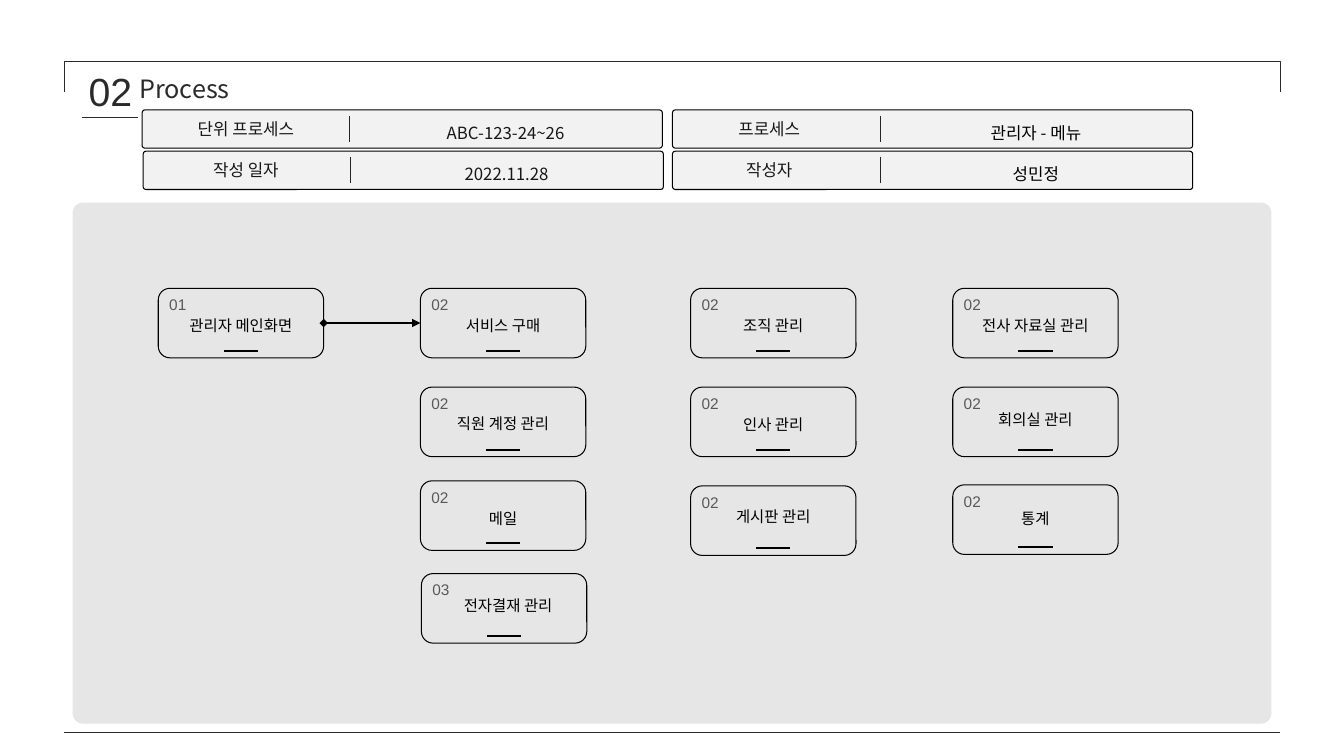
from dataclasses import dataclass

from lxml import etree
from pptx import Presentation
from pptx.dml.color import RGBColor
from pptx.enum.shapes import MSO_CONNECTOR, MSO_SHAPE
from pptx.enum.text import MSO_ANCHOR, MSO_AUTO_SIZE, PP_ALIGN
from pptx.oxml.ns import qn
from pptx.util import Inches, Pt

STRAIGHT = MSO_CONNECTOR.STRAIGHT
ROUNDED = MSO_SHAPE.ROUNDED_RECTANGLE
BRACKET = MSO_SHAPE.RIGHT_BRACKET
LEFT, CENTER = PP_ALIGN.LEFT, PP_ALIGN.CENTER
TOP = MSO_ANCHOR.TOP
NO_AUTOFIT = MSO_AUTO_SIZE.NONE

COLORS = {
    "panel": "E7E6E6",
    "field": "F2F2F2",
    "frame": "2A2A2A",
    "divider": "242424",
    "field_text": "181717",
    "number": "595959",
    "black": "000000",
}
LATIN = "Arial"
KOREAN = "Noto Sans CJK KR"
DEFAULT_INSETS = (0.1, 0.05, 0.1, 0.05)


@dataclass
class TextStyle:
    size: float
    color: str
    font: str = LATIN
    align: PP_ALIGN = LEFT
    spacing: float = 1.0
    insets: tuple[float, float, float, float] = DEFAULT_INSETS


@dataclass
class Field:
    label: str
    value: str
    left: float
    top: float
    label_center: float
    value_color: str


@dataclass
class Node:
    number: str
    label: str
    left: float
    top: float
    label_drop: float = 0.23
    label_width: float = 1.64


NODE_WIDTH, NODE_HEIGHT = 1.64, 0.69
FIELD_WIDTH, FIELD_HEIGHT = 5.16, 0.38

FIELDS = [
    Field("작성 일자", "2022.11.28", 1.42, 1.5, 1.02, "field_text"),
    Field("단위 프로세스", "ABC-123-24~26", 1.41, 1.09, 1.03, "field_text"),
    Field("작성자", "성민정", 6.67, 1.5, 0.96, "black"),
    Field("프로세스", "관리자 - 메뉴", 6.67, 1.09, 0.96, "black"),
]
MAIN_NODE = Node("01", "관리자 메인화면", 1.57, 2.86)
FIRST_MENU = Node("02", "서비스 구매", 4.17, 2.86)
OTHER_MENUS = [
    Node("02", "직원 계정 관리", 4.17, 3.84, 0.22),
    Node("02", "메일", 4.17, 4.77),
    Node("03", "전자결재 관리", 4.18, 5.69, 0.17, 1.72),
    Node("02", "조직 관리", 6.85, 2.86),
    Node("02", "인사 관리", 6.85, 3.84),
    Node("02", "게시판 관리", 6.85, 4.82, 0.16),
    Node("02", "전사 자료실 관리", 9.45, 2.86),
    Node("02", "회의실 관리", 9.45, 3.84, 0.18),
    Node("02", "통계", 9.45, 4.81, 0.19),
]


def rgb(name: str) -> RGBColor:
    return RGBColor.from_string(COLORS[name])


def write_text(box, text: str, style: TextStyle) -> None:
    frame = box.text_frame
    frame.word_wrap = True
    frame.auto_size = NO_AUTOFIT
    frame.vertical_anchor = TOP
    (frame.margin_left, frame.margin_top,
     frame.margin_right, frame.margin_bottom) = map(Inches, style.insets)
    para = frame.paragraphs[0]
    para.alignment = style.align
    para.line_spacing = style.spacing
    span = para.add_run()
    span.text = text
    span.font.size = Pt(style.size)
    span.font.name = style.font
    span.font.color.rgb = rgb(style.color)
    # Hangul takes its typeface from the East Asian slot
    east_asian = etree.Element(qn("a:ea"), typeface=KOREAN)
    span.font._element.find(qn("a:latin")).addnext(east_asian)


def add_text(shapes, left: float, top: float, width: float, height: float,
             text: str, style: TextStyle) -> None:
    box = shapes.add_textbox(Inches(left), Inches(top), Inches(width), Inches(height))
    write_text(box, text, style)


def add_box(shapes, kind: MSO_SHAPE, left: float, top: float, width: float,
            height: float, fill: str = "", line: str = "",
            adjustment: float | None = None):
    box = shapes.add_shape(kind, Inches(left), Inches(top), Inches(width), Inches(height))
    box.shadow.inherit = False
    if fill:
        box.fill.solid()
        box.fill.fore_color.rgb = rgb(fill)
    else:
        box.fill.background()
    if line:
        box.line.color.rgb = rgb(line)
        box.line.width = Pt(0.75)
    else:
        box.line.fill.background()
    if adjustment is not None:
        box.adjustments[0] = adjustment
    return box


def add_line(shapes, x1: float, y1: float, x2: float, y2: float,
             color: str, weight: float = 0.75):
    line = shapes.add_connector(STRAIGHT, Inches(x1), Inches(y1), Inches(x2), Inches(y2))
    line.line.color.rgb = rgb(color)
    line.line.width = Pt(weight)
    etree.SubElement(line._element.spPr, qn("a:effectLst"))
    return line


def add_field(shapes, field: Field) -> None:
    left, top = field.left, field.top
    add_box(shapes, ROUNDED, left, top, FIELD_WIDTH, FIELD_HEIGHT,
            "field", "black", 0.075)
    label_width = 1.66
    add_text(shapes, left + field.label_center - label_width / 2, top + 0.01,
             label_width, 0.33, field.label,
             TextStyle(12, "field_text", KOREAN, CENTER, 1.14))
    add_line(shapes, left + 2.06, top + 0.06, left + 2.06, top + 0.32, "divider")
    add_text(shapes, left + 2.19, top + 0.02, 2.83, 0.36, field.value,
             TextStyle(12, field.value_color, KOREAN, CENTER, 1.3))


def add_node(page, node: Node):
    shapes = page.shapes.add_group_shape().shapes
    left, top = node.left, node.top
    box = add_box(shapes, ROUNDED, left, top, NODE_WIDTH, NODE_HEIGHT, line="black")
    add_text(shapes, left + 0.01, top + 0.02, 0.61, 0.29, node.number,
             TextStyle(11, "number"))
    add_line(shapes, left + 0.65, top + 0.62, left + 0.99, top + 0.62, "black", 1.5)
    add_text(shapes, left, top + node.label_drop, node.label_width, 0.29, node.label,
             TextStyle(11, "black", align=CENTER))
    return box


def main() -> None:
    deck = Presentation()
    deck.slide_width, deck.slide_height = Inches(13.33), Inches(7.5)
    page = deck.slides.add_slide(deck.slide_layouts[5])

    # Panel and page frame
    add_box(page.shapes, ROUNDED, 0.72, 2.01, 11.89, 5.17, "panel", adjustment=0.02)
    bracket = add_box(page.shapes, BRACKET, 6.52, -5.27, 0.3, 12.06,
                      line="frame", adjustment=0)
    bracket.rotation = 270
    add_line(page.shapes, 0.63, 7.27, 12.7, 7.27, "frame")

    # Process details
    details = page.shapes.add_group_shape().shapes
    for field in FIELDS:
        add_field(details, field)

    # Title and section number
    title = page.shapes.title
    title.left, title.top = Inches(1.34), Inches(0.71)
    title.width, title.height = Inches(1.26), Inches(0.34)
    write_text(title, "Process",
               TextStyle(18, "frame", KOREAN, insets=(0.04, 0.02, 0.12, 0.02)))
    section = page.shapes.add_group_shape().shapes
    add_text(section, 0.88, 0.67, 0.49, 0.79, "02",
             TextStyle(28, "frame", insets=(0, 0, 0, 0)))
    add_line(section, 0.81, 1.17, 1.37, 1.17, "frame")

    # Menu nodes
    main_box = add_node(page, MAIN_NODE)
    menu_box = add_node(page, FIRST_MENU)
    for node in OTHER_MENUS:
        add_node(page, node)

    # Arrow from the main screen to the menus
    arrow = add_line(page.shapes, 3.21, 3.2, 4.17, 3.2, "black", 1.5)
    arrow.begin_connect(main_box, 3)
    arrow.end_connect(menu_box, 1)
    outline = arrow.line._get_or_add_ln()
    etree.SubElement(outline, qn("a:headEnd"), type="diamond")
    etree.SubElement(outline, qn("a:tailEnd"), type="triangle")

    deck.save("out.pptx")


if __name__ == "__main__":
    main()
